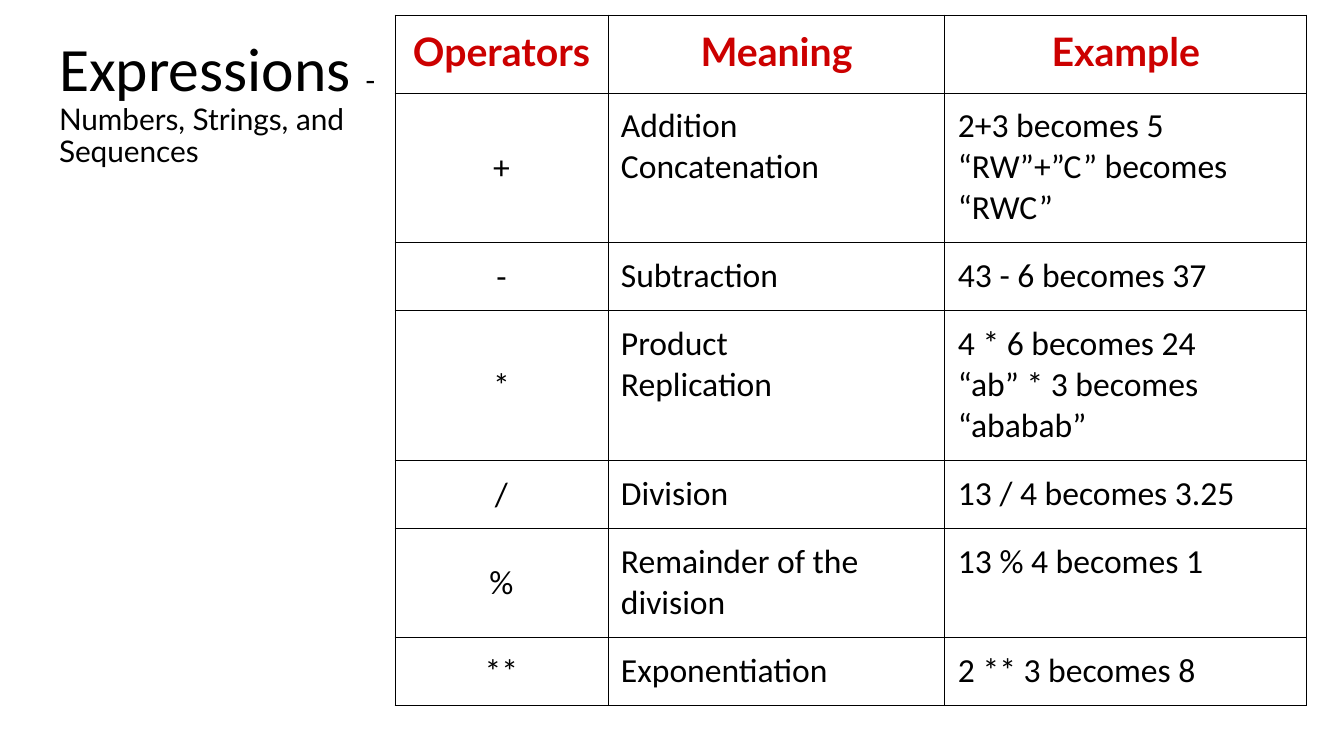
from dataclasses import dataclass

from lxml import etree
from pptx import Presentation
from pptx.dml.color import RGBColor
from pptx.enum.text import MSO_ANCHOR, MSO_AUTO_SIZE, PP_ALIGN
from pptx.oxml.ns import qn
from pptx.util import Pt

CENTER, LEFT = PP_ALIGN.CENTER, PP_ALIGN.LEFT
TOP, MIDDLE = MSO_ANCHOR.TOP, MSO_ANCHOR.MIDDLE
NO_AUTOFIT = MSO_AUTO_SIZE.NONE


@dataclass(frozen=True)
class Theme:
    ink: str = "000000"
    accent: str = "CC0000"
    body_font: str = "Calibri"
    heading_font: str = "Lato"
    title_size: float = 44
    subtitle_size: float = 21.3
    header_size: float = 28
    body_size: float = 24
    border: float = 0.75


THEME = Theme()
PADDING = 13


def px(length):
    return round(length * 914400 / 100.8)


def style(font, name, size, color, bold=False):
    font.name = name
    font.size = Pt(size)
    font.bold = bold
    font.color.rgb = RGBColor.from_string(color)


presentation = Presentation()
presentation.slide_width = px(1344)
presentation.slide_height = px(756)
slide = presentation.slides.add_slide(presentation.slide_layouts[5])

title = slide.shapes.title
title.left, title.top, title.width, title.height = px(46), px(25), px(349), px(234)
frame = title.text_frame
frame.word_wrap = True
frame.auto_size = NO_AUTOFIT
frame.vertical_anchor = TOP
frame.margin_left = frame.margin_right = px(PADDING)
frame.margin_top = frame.margin_bottom = px(PADDING)
paragraph = frame.paragraphs[0]
paragraph.alignment = LEFT
paragraph.line_spacing = 0.9
for text, font_name, size in (
    ("Expressions ", THEME.body_font, THEME.title_size),
    ("- Numbers, Strings, and Sequences", THEME.heading_font, THEME.subtitle_size),
):
    run = paragraph.add_run()
    run.text = text
    style(run.font, font_name, size, THEME.ink)

operator_rows = [
    ("Operators", "Meaning", "Example"),
    ("+", "Addition\nConcatenation", "2+3 becomes 5\n“RW”+”C” becomes “RWC”"),
    ("-", "Subtraction", "43 - 6 becomes 37"),
    ("*", "Product\nReplication", "4 * 6 becomes 24\n“ab” * 3 becomes “ababab”"),
    ("/", "Division", "13 / 4 becomes 3.25"),
    ("%", "Remainder of the division", "13 % 4 becomes 1"),
    ("**", "Exponentiation", "2 ** 3 becomes 8"),
]
column_widths = [213, 337, 362]
row_heights = [78, 150, 68, 150, 68, 109, 68]

table = slide.shapes.add_table(
    len(row_heights), len(column_widths),
    px(395), px(15), px(sum(column_widths)), px(sum(row_heights)),
).table
table.horz_banding = False
for column, width in zip(table.columns, column_widths):
    column.width = px(width)
for row, height in zip(table.rows, row_heights):
    row.height = px(height)

for row_index, texts in enumerate(operator_rows):
    is_header = row_index == 0
    for column_index, text in enumerate(texts):
        is_operator = column_index == 0
        cell = table.cell(row_index, column_index)
        cell.text = text
        cell.fill.background()
        cell.margin_left = cell.margin_right = px(PADDING)
        cell.margin_top = cell.margin_bottom = px(PADDING)
        cell.vertical_anchor = MIDDLE if is_operator and not is_header else TOP
        for paragraph in cell.text_frame.paragraphs:
            paragraph.alignment = CENTER if is_header or is_operator else LEFT
            if is_header:
                style(paragraph.font, THEME.heading_font, THEME.header_size, THEME.accent, True)
            else:
                style(paragraph.font, THEME.body_font, THEME.body_size, THEME.ink)
        properties = cell._tc.get_or_add_tcPr()
        for position, side in enumerate(("a:lnL", "a:lnR", "a:lnT", "a:lnB")):
            line = etree.Element(qn(side), w=str(Pt(THEME.border)))
            fill = etree.SubElement(line, qn("a:solidFill"))
            etree.SubElement(fill, qn("a:srgbClr"), val=THEME.ink)
            properties.insert(position, line)

presentation.save("out.pptx")
